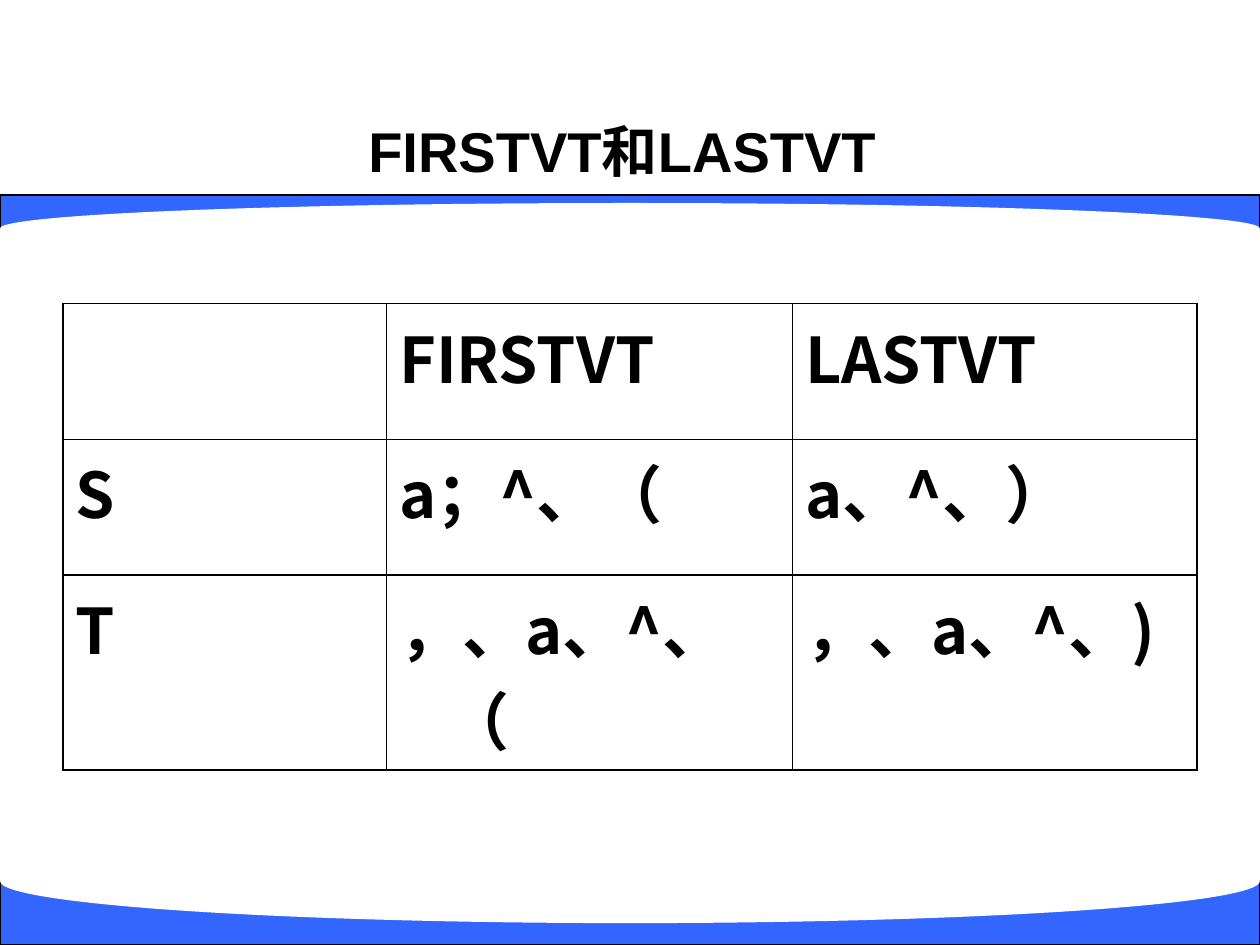
from lxml import etree
from pptx import Presentation
from pptx.dml.color import RGBColor
from pptx.enum.shapes import MSO_SHAPE
from pptx.enum.text import MSO_ANCHOR, PP_ALIGN
from pptx.oxml.ns import qn
from pptx.util import Pt

RECTANGLE, ELLIPSE = MSO_SHAPE.RECTANGLE, MSO_SHAPE.OVAL
MIDDLE, CENTER = MSO_ANCHOR.MIDDLE, PP_ALIGN.CENTER
BLACK = RGBColor(0, 0, 0)
WHITE = RGBColor(255, 255, 255)
BLUE = RGBColor(0x33, 0x66, 0xFF)

TITLE_FONT, BODY_FONT = "Arial", "Noto Sans CJK SC"
WIDTH, HEIGHT = 720, 540
COLUMN_WIDTHS = (185, 232, 231)
# The last row holds two lines of text.
ROW_HEIGHTS = (77.5, 77.5, 111.5)
HANGING_INDENT = 27
ROWS = (
    ("", "FIRSTVT", "LASTVT"),
    ("S", "a；^、（", "a、^、）"),
    ("T", "，、a、^、（", "，、a、^、)"),
)


def add_band_shape(slide, kind, top, height, color, outlined):
    shape = slide.shapes.add_shape(kind, 0, Pt(top), Pt(WIDTH), Pt(height))
    shape.shadow.inherit = False
    shape.fill.solid()
    shape.fill.fore_color.rgb = color
    if outlined:
        shape.line.color.rgb = BLACK
        shape.line.width = Pt(0.75)
    else:
        shape.line.fill.background()


def add_curved_band(slide, band, curve):
    """Draw a blue band with a white ellipse cutting into it."""
    add_band_shape(slide, RECTANGLE, *band, BLUE, True)
    add_band_shape(slide, ELLIPSE, *curve, WHITE, False)


def style_paragraph(paragraph, font_name, size):
    font = paragraph.font
    font.name = font_name
    font.size = Pt(size)
    font.bold = True
    font.color.rgb = BLACK
    properties = paragraph._p.pPr.find(qn("a:defRPr"))
    east_asian = etree.SubElement(properties, qn("a:ea"))
    east_asian.set("typeface", BODY_FONT)


def add_title(slide, text):
    box = slide.shapes.add_textbox(Pt(36), Pt(60.5), Pt(648), Pt(51))
    frame = box.text_frame
    frame.word_wrap = True
    frame.vertical_anchor = MIDDLE
    paragraph = frame.paragraphs[0]
    paragraph.text = text
    paragraph.alignment = CENTER
    style_paragraph(paragraph, TITLE_FONT, 32)


def set_borders(cell):
    properties = cell._tc.get_or_add_tcPr()
    for index, side in enumerate(("lnL", "lnR", "lnT", "lnB")):
        line = etree.Element(qn(f"a:{side}"), w=str(Pt(1)))
        fill = etree.SubElement(line, qn("a:solidFill"))
        etree.SubElement(fill, qn("a:srgbClr"), val=str(BLACK))
        properties.insert(index, line)


def fill_cell(cell, text):
    cell.fill.background()
    set_borders(cell)
    paragraph = cell.text_frame.paragraphs[0]
    paragraph.text = text
    style_paragraph(paragraph, BODY_FONT, 36)
    properties = paragraph._p.pPr
    properties.set("marL", str(Pt(HANGING_INDENT)))
    properties.set("indent", str(-Pt(HANGING_INDENT)))


def add_set_table(slide):
    frame = slide.shapes.add_table(
        len(ROWS), len(COLUMN_WIDTHS), Pt(36), Pt(173.5),
        Pt(sum(COLUMN_WIDTHS)), Pt(sum(ROW_HEIGHTS)))
    table = frame.table
    table.first_row = False
    table.horz_banding = False
    for column, width in zip(table.columns, COLUMN_WIDTHS):
        column.width = Pt(width)
    for row, height, texts in zip(table.rows, ROW_HEIGHTS, ROWS):
        row.height = Pt(height)
        for cell, text in zip(row.cells, texts):
            fill_cell(cell, text)


def main():
    presentation = Presentation()
    presentation.slide_width = Pt(WIDTH)
    presentation.slide_height = Pt(HEIGHT)
    slide = presentation.slides.add_slide(presentation.slide_layouts[6])
    add_curved_band(slide, band=(111.5, 19), curve=(116, 29))
    add_curved_band(slide, band=(503.5, 36.5), curve=(479.5, 48))
    # The trailing space shifts the centred title slightly to the left.
    add_title(slide, "FIRSTVT和LASTVT ")
    add_set_table(slide)
    presentation.save("out.pptx")


if __name__ == "__main__":
    main()
